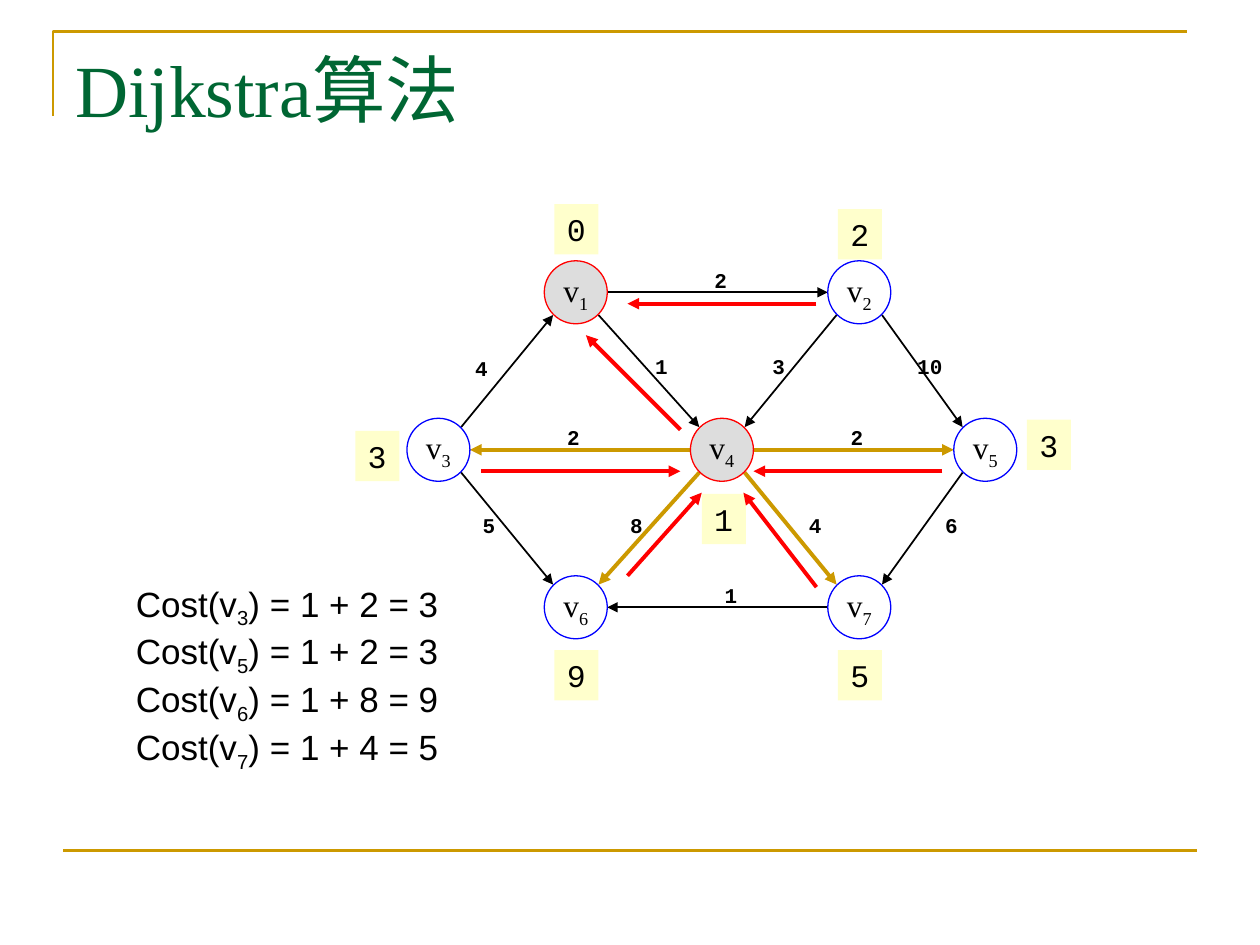
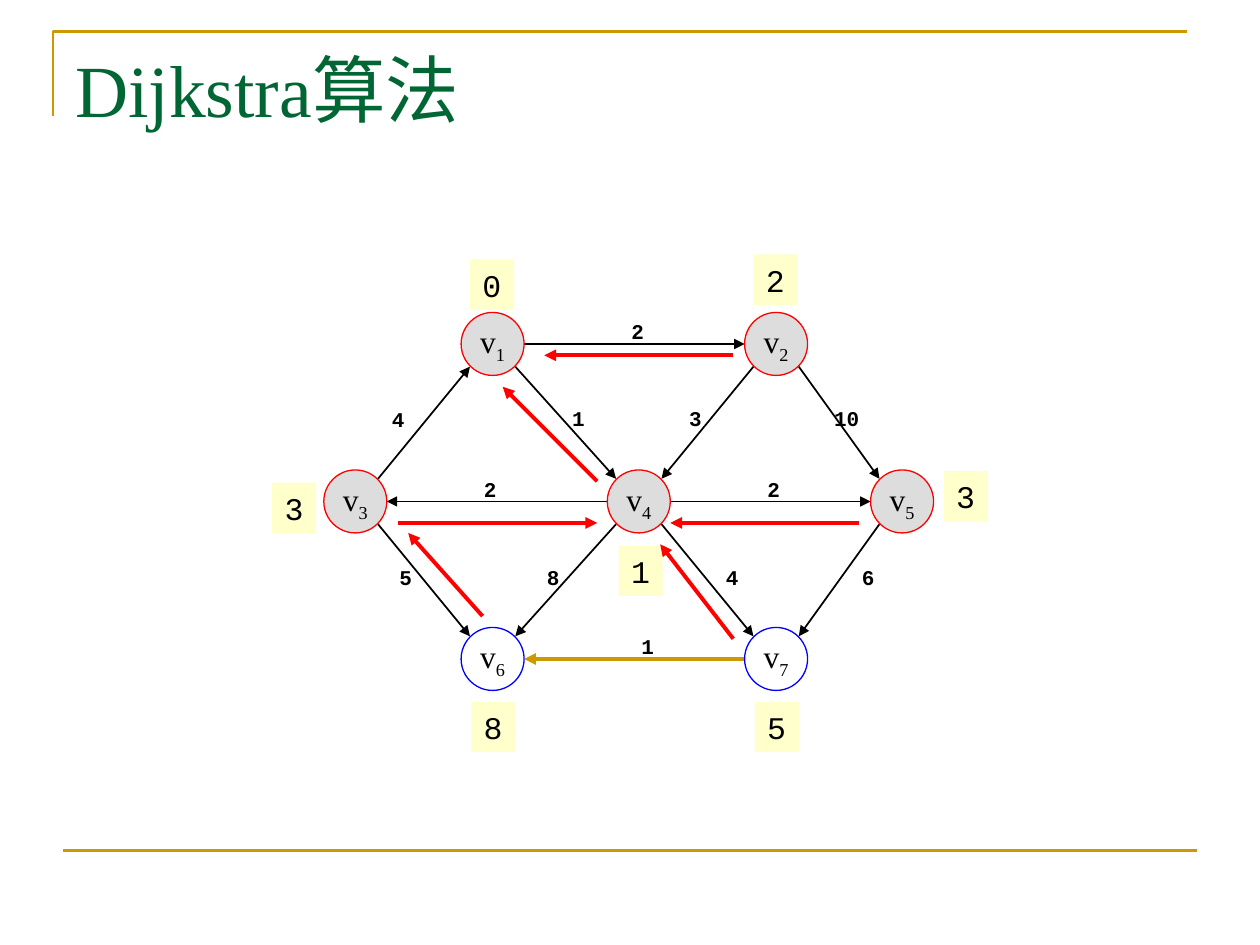
from lxml.etree import SubElement
from pptx import Presentation
from pptx.dml.color import RGBColor
from pptx.enum.shapes import MSO_CONNECTOR, MSO_SHAPE as SHAPE
from pptx.enum.text import MSO_ANCHOR as ANCHOR, PP_ALIGN as ALIGN
from pptx.oxml.ns import qn
from pptx.util import Inches, Pt

GOLD = RGBColor(0xCC, 0x99, 0x00)
GREEN = RGBColor(0x00, 0x66, 0x33)
RED = RGBColor(0xFF, 0x00, 0x00)
BLUE = RGBColor(0x00, 0x00, 0xFF)
BLACK = RGBColor(0x00, 0x00, 0x00)
GREY = RGBColor(0xDD, 0xDD, 0xDD)
CREAM = RGBColor(0xFF, 0xFF, 0xCC)

SLIDE_WIDTH, SLIDE_HEIGHT = Inches(10), Inches(7.5)
CELL = SLIDE_WIDTH // 10
FRAME_LEFT, FRAME_TOP = round(0.42 * CELL), round(0.25 * CELL)
FRAME_RIGHT, FRAME_BOTTOM = round(9.42 * CELL), round(0.92 * CELL)
NODE_SIZE = 0.5
RADIUS = NODE_SIZE / 2
DIAGONAL = 0.18
TAG_WIDTH, TAG_HEIGHT = 0.35, 0.4
LABEL_HEIGHT, LABEL_PADDING, DIGIT_WIDTH = 0.3, 0.2, 0.12

NODES = {1: (0, 0), 2: (2.25, 0), 3: (-1.09, 1.25), 4: (1.16, 1.25),
         5: (3.25, 1.25), 6: (0, 2.5), 7: (2.25, 2.5)}
EDGES = [
    (1, 2, "2", (1.15, -0.1)), (1, 4, "1", (0.68, 0.59)),
    (2, 4, "3", (1.61, 0.59)), (2, 5, "10", (2.81, 0.59)),
    (3, 1, "4", (-0.75, 0.6)), (4, 3, "2", (-0.02, 1.15)),
    (4, 5, "2", (2.23, 1.15)), (3, 6, "5", (-0.69, 1.85)),
    (4, 6, "8", (0.48, 1.85)), (4, 7, "4", (1.9, 1.85)),
    (5, 7, "6", (2.98, 1.85)), (7, 6, "1", (1.23, 2.4)),
]
TAG_OFFSETS = {1: (-0.17, -0.7), 2: (-0.17, -0.66), 3: (-0.66, -0.15),
               4: (-0.16, 0.35), 5: (0.33, -0.24), 6: (-0.17, 0.34), 7: (-0.17, 0.34)}
BACK_ARROWS = {
    (4, 1): ((0.83, 1.09), (0.08, 0.34)), (2, 1): ((1.91, 0.09), (0.41, 0.09)),
    (5, 4): ((2.91, 1.42), (1.41, 1.42)), (7, 4): ((1.91, 2.34), (1.33, 1.59)),
    (6, 4): ((0.41, 2.25), (1, 1.59)), (3, 4): ((-0.75, 1.42), (0.83, 1.42)),
    (6, 3): ((-0.08, 2.16), (-0.67, 1.5)),
}
STEPS = [
    {"origin": (4.57, 2.32), "visited": {1, 4},
     "active": {(4, 3), (4, 5), (4, 6), (4, 7)},
     "parents": {2: 1, 3: 4, 4: 1, 5: 4, 6: 4, 7: 4},
     "distances": {1: 0, 2: 2, 3: 3, 4: 1, 5: 3, 6: 9, 7: 5},
     "tag_offsets": TAG_OFFSETS,
     "costs": [(3, 2), (5, 2), (6, 8), (7, 4)]},
    {"origin": (3.91, 2.73), "visited": {1, 2, 3, 4, 5},
     "active": {(7, 6)},
     "parents": {2: 1, 3: 4, 4: 1, 5: 4, 6: 3, 7: 4},
     "distances": {1: 0, 2: 2, 3: 3, 4: 1, 5: 3, 6: 8, 7: 5},
     "tag_offsets": {**TAG_OFFSETS, 1: (-0.18, -0.67), 2: (-0.18, -0.71)},
     "costs": []},
]


def add_line(slide, start, end, color, width, arrow=True):
    corners = [round(value * CELL) for value in (*start, *end)]
    connector = slide.shapes.add_connector(MSO_CONNECTOR.STRAIGHT, *corners)
    connector.line.color.rgb = color
    connector.line.width = Pt(width)
    if arrow:
        SubElement(connector.line._get_or_add_ln(), qn("a:tailEnd"), type="triangle")
    SubElement(connector._element.spPr, qn("a:effectLst"))


def add_text(slide, kind, box, lines, font, size, color=BLACK, align=ALIGN.LEFT,
             anchor=ANCHOR.TOP, wrap=False, bold=False):
    bounds = [round(value * CELL) for value in box]
    if kind is None:
        shape = slide.shapes.add_textbox(*bounds)
    else:
        shape = slide.shapes.add_shape(kind, *bounds)
        shape.shadow.inherit = False
    frame = shape.text_frame
    frame.word_wrap = wrap
    frame.vertical_anchor = anchor
    for index, pieces in enumerate(lines):
        paragraph = frame.add_paragraph() if index else frame.paragraphs[0]
        paragraph.alignment = align
        paragraph.font.name = font
        paragraph.font.size = Pt(size)
        paragraph.font.bold = bold
        paragraph.font.color.rgb = color
        for position, piece in enumerate(pieces):
            run = paragraph.add_run()
            run.text = piece
            if position % 2:
                run._r.get_or_add_rPr().set("baseline", "-25000")
    return shape


presentation = Presentation()
presentation.slide_width = SLIDE_WIDTH
presentation.slide_height = SLIDE_HEIGHT

for step in STEPS:
    slide = presentation.slides.add_slide(presentation.slide_layouts[6])
    left, top = step["origin"]
    centers = {node: (left + x, top + y) for node, (x, y) in NODES.items()}

    builder = slide.shapes.build_freeform(FRAME_LEFT, FRAME_BOTTOM)
    builder.add_line_segments([(FRAME_LEFT, FRAME_TOP), (FRAME_RIGHT, FRAME_TOP)], close=False)
    corner = builder.convert_to_shape()
    corner.fill.background()
    corner.line.color.rgb = GOLD
    corner.line.width = Pt(1.5)
    corner.shadow.inherit = False
    add_line(slide, (0.5, 6.75), (9.5, 6.75), GOLD, 1.5, arrow=False)
    add_text(slide, None, (0.5, 0.3, 9, 1.25), [["Dijkstra算法"]],
             "Times New Roman", 42, GREEN, wrap=True)

    for source, target, weight, (label_x, label_y) in EDGES:
        (x1, y1), (x2, y2) = centers[source], centers[target]
        side = 1 if x2 > x1 else -1
        drop = (y2 > y1) - (y2 < y1)
        shift_x, shift_y = (side * DIAGONAL, drop * DIAGONAL) if drop else (side * RADIUS, 0)
        color, width = (GOLD, 2.25) if (source, target) in step["active"] else (BLACK, 1)
        add_line(slide, (x1 + shift_x, y1 + shift_y), (x2 - shift_x, y2 - shift_y), color, width)
        label_width = LABEL_PADDING + DIGIT_WIDTH * len(weight)
        add_text(slide, None,
                 (left + label_x - label_width / 2, top + label_y - LABEL_HEIGHT / 2,
                  label_width, LABEL_HEIGHT),
                 [[weight]], "Courier New", 12, align=ALIGN.CENTER,
                 anchor=ANCHOR.MIDDLE, bold=True)

    for node, (x, y) in centers.items():
        circle = add_text(slide, SHAPE.OVAL, (x - RADIUS, y - RADIUS, NODE_SIZE, NODE_SIZE),
                          [["v", str(node)]], "Times New Roman", 18,
                          align=ALIGN.CENTER, anchor=ANCHOR.MIDDLE)
        circle.line.width = Pt(0.75)
        if node in step["visited"]:
            circle.fill.solid()
            circle.fill.fore_color.rgb = GREY
            circle.line.color.rgb = RED
        else:
            circle.fill.background()
            circle.line.color.rgb = BLUE

        tag_x, tag_y = step["tag_offsets"][node]
        tag = add_text(slide, SHAPE.RECTANGLE, (x + tag_x, y + tag_y, TAG_WIDTH, TAG_HEIGHT),
                       [[str(step["distances"][node])]], "Courier New", 18)
        tag.fill.solid()
        tag.fill.fore_color.rgb = CREAM
        tag.line.fill.background()

    for link in step["parents"].items():
        start, end = [(left + x, top + y) for x, y in BACK_ARROWS[link]]
        add_line(slide, start, end, RED, 2.25)

    if step["costs"]:
        costs = [["Cost(v", str(node), f") = 1 + {weight} = {1 + weight}"]
                 for node, weight in step["costs"]]
        add_text(slide, None, (0.98, 4.57, 2.67, 1.43), costs, "Arial", 20, wrap=True)

presentation.save("out.pptx")
